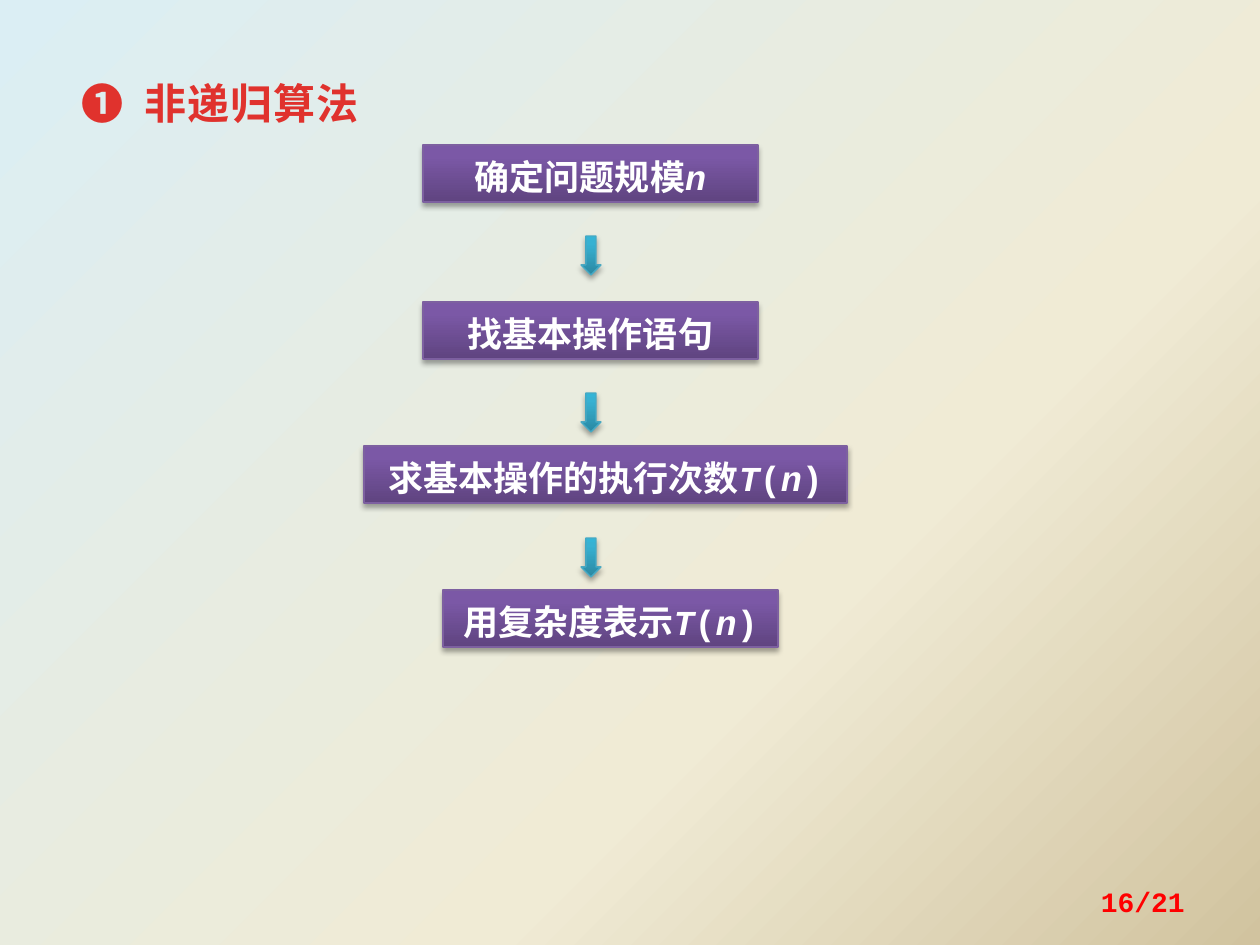
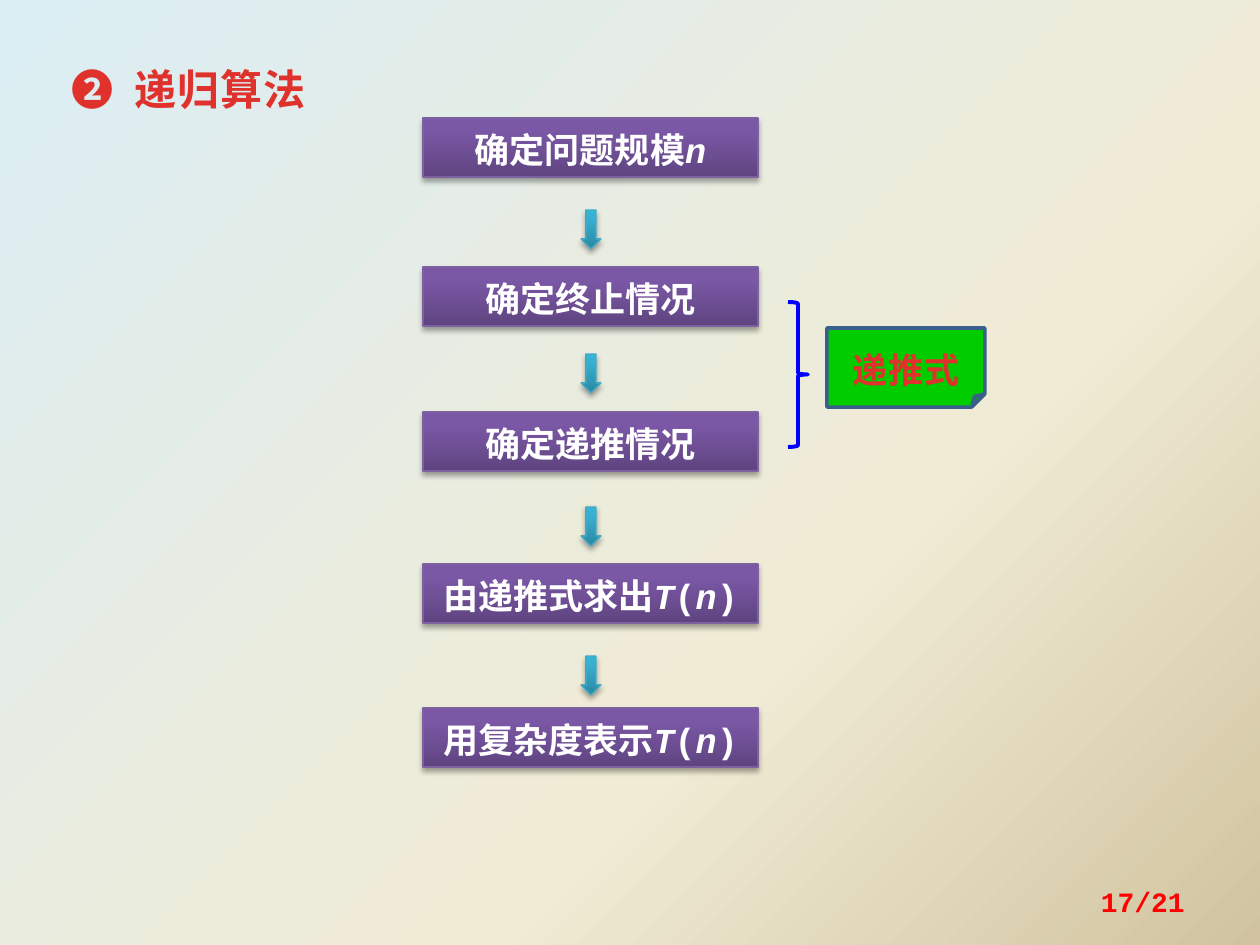
"""Build two flow-chart slides on analysing non-recursive and recursive algorithms."""
import itertools

import pptx
import pptx.dml.color
import pptx.enum.shapes
import pptx.enum.text
import pptx.oxml
import pptx.oxml.ns
import pptx.util
from lxml import etree

PX = 914400 / 126
SLIDE_SIZE = (1260, 945)
TITLE_ONLY = 5
TOTAL_PAGES = 21
STEP_LEFT, STEP_WIDTH = 423, 335
ARROW_LEFT, ARROW_WIDTH, ARROW_HEIGHT = 581, 20, 39

COLORS = {
    "step line": "7D60A0",
    "arrow line": "46AAC5",
    "brace": "0000FF",
    "note": "00CC00",
    "note line": "3A5F8C",
    "page": "FF0000",
    "step text": "FFFFFF",
    "shadow": "000000",
}
GRADIENTS = {
    "background": (315, {0: "DBEEF4", 65: "F0EBD5", 100: "D1C39F"}),
    "step": (90, {0: "5F4480", 80: "7B58A6", 100: "7C57A8"}),
    "arrow": (90, {0: "2A88A2", 80: "37B1D2", 100: "34B4D6"}),
    "red text": (270, {25: "E0322D", 100: "A2201C"}),
}
FONT = {"name": "Courier New", "bold": True}
FONTS = {
    "title": FONT | {"size": pptx.util.Pt(24)},
    "step": FONT | {"size": pptx.util.Pt(20)},
    "page": FONT | {"size": pptx.util.Pt(16)},
}
ALIGN = pptx.enum.text.PP_ALIGN
ANCHOR = pptx.enum.text.MSO_ANCHOR
SHAPE = pptx.enum.shapes.MSO_SHAPE
FRAME = {"word_wrap": True, "auto_size": pptx.enum.text.MSO_AUTO_SIZE.NONE}


def px(*lengths):
    """Turn px lengths into EMU."""
    return [round(length * PX) for length in lengths]


def apply(target, values):
    """Set every attribute in values on target."""
    for name, value in values.items():
        setattr(target, name, value)


def rgb(name):
    """Look up a named colour."""
    return pptx.dml.color.RGBColor.from_string(COLORS[name])


def fill_gradient(fill, owner, name):
    """Give a fill the named gradient, whose XML lies inside owner."""
    angle, stops = GRADIENTS[name]
    fill.gradient()
    fill.gradient_angle = angle
    stop_list = next(owner.iter(pptx.oxml.ns.qn("a:gsLst")))
    for stop in list(stop_list):
        stop_list.remove(stop)
    for position, color in stops.items():
        stop = etree.SubElement(stop_list, pptx.oxml.ns.qn("a:gs"), pos=str(position * 1000))
        etree.SubElement(stop, pptx.oxml.ns.qn("a:srgbClr"), val=color)


def add_shadow(shape):
    """Cast a soft shadow straight down."""
    effects = shape._element.spPr.find(pptx.oxml.ns.qn("a:effectLst"))
    effects.append(pptx.oxml.parse_xml(
        f'<a:outerShdw {pptx.oxml.ns.nsdecls("a")} blurRad="39370" dist="22860" dir="5400000" '
        f'rotWithShape="0"><a:srgbClr val="{COLORS["shadow"]}"><a:alpha val="35000"/>'
        '</a:srgbClr></a:outerShdw>'))


def add_outlined(slide, kind, box, line_color, line_width):
    """Add a preset shape with a plain outline and no inherited shadow."""
    shape = slide.shapes.add_shape(kind, *px(*box))
    shape.shadow.inherit = False
    shape.line.color.rgb = rgb(line_color)
    shape.line.width = pptx.util.Pt(line_width)
    return shape


def add_glossy(slide, kind, box, style):
    """Add a shaded shape with a shadow."""
    shape = add_outlined(slide, kind, box, f"{style} line", 0.75)
    fill_gradient(shape.fill, shape._element, style)
    add_shadow(shape)
    return shape


def write_red(paragraph, text, font):
    """Write spaced-out red gradient text."""
    run = paragraph.add_run()
    run.text = text
    apply(run.font, font)
    fill_gradient(run.font.fill, run._r, "red text")
    run._r.get_or_add_rPr().set("spc", "50")


def set_title(slide, text, box):
    """Place the title with its number hanging to the left."""
    title = slide.shapes.title
    apply(title, dict(zip(("left", "top", "width", "height"), px(*box))))
    apply(title.text_frame, FRAME | {"vertical_anchor": ANCHOR.TOP})
    heading = title.text_frame.paragraphs[0]
    apply(heading, {"alignment": ALIGN.LEFT, "line_spacing": 1.1})
    properties = heading._p.get_or_add_pPr()
    properties.set("marL", "457200")
    properties.set("indent", "-457200")
    write_red(heading, text, FONTS["title"])


def add_step(slide, text, box):
    """Add one step, with the symbols T and n in italics."""
    step = add_glossy(slide, SHAPE.RECTANGLE, box, "step")
    apply(step.text_frame, FRAME | {"vertical_anchor": ANCHOR.TOP})
    label = step.text_frame.paragraphs[0]
    apply(label, {"alignment": ALIGN.CENTER, "line_spacing": 1.1})
    for is_symbol, letters in itertools.groupby(text, lambda letter: letter in "Tn"):
        run = label.add_run()
        run.text = "".join(letters)
        apply(run.font, FONTS["step"] | {"italic": is_symbol})
        run.font.color.rgb = rgb("step text")


def add_flow(slide, steps, step_height, arrow_tops):
    """Add the column of steps and the arrows between them."""
    for text, top, left, width in steps:
        add_step(slide, text, (left, top, width, step_height))
    for top in arrow_tops:
        add_glossy(slide, SHAPE.DOWN_ARROW, (ARROW_LEFT, top, ARROW_WIDTH, ARROW_HEIGHT), "arrow")


def add_recurrence_note(slide):
    """Bracket the two recursive cases and label them."""
    brace = add_outlined(slide, SHAPE.RIGHT_BRACE, (788, 302, 20, 145), "brace", 2.25)
    brace.fill.background()
    note = add_outlined(slide, SHAPE.FOLDED_CORNER, (827, 328, 158, 79), "note line", 2)
    note.fill.solid()
    note.fill.fore_color.rgb = rgb("note")
    apply(note.text_frame, FRAME | {"vertical_anchor": ANCHOR.MIDDLE})
    label = note.text_frame.paragraphs[0]
    apply(label, {"alignment": ALIGN.CENTER, "line_spacing": 1.4})
    write_red(label, "递推式", FONTS["step"])


def add_page_number(slide, page):
    """Add the page number at the bottom right."""
    footer = slide.shapes.add_textbox(*px(903, 876, 294, 50))
    apply(footer.text_frame, FRAME | {"vertical_anchor": ANCHOR.MIDDLE})
    number = footer.text_frame.paragraphs[0]
    number.alignment = ALIGN.RIGHT
    run = number.add_run()
    run.text = f"{page}/{TOTAL_PAGES}"
    apply(run.font, FONTS["page"])
    run.font.color.rgb = rgb("page")


def add_slide(deck, title, title_box, page):
    """Add a slide with its title and page number."""
    slide = deck.slides.add_slide(deck.slide_layouts[TITLE_ONLY])
    set_title(slide, title, title_box)
    add_page_number(slide, page)
    return slide


def main():
    """Build and save the deck."""
    deck = pptx.Presentation()
    deck.slide_width, deck.slide_height = px(*SLIDE_SIZE)
    master = deck.slide_master
    fill_gradient(master.background.fill, master._element, "background")

    iterative = add_slide(deck, "❶\t非递归算法", (69, 66, 364, 66), 16)
    add_flow(iterative, [
        ("确定问题规模n", 145, STEP_LEFT, STEP_WIDTH),
        ("找基本操作语句", 302, STEP_LEFT, STEP_WIDTH),
        ("求基本操作的执行次数T(n)", 446, 364, 483),
        ("用复杂度表示T(n)", 590, 443, STEP_WIDTH),
    ], 57, [236, 393, 538])

    recursive = add_slide(deck, "❷\t递归算法", (59, 52, 315, 69), 17)
    recursive_steps = {
        "确定问题规模n": 118,
        "确定终止情况": 267,
        "确定递推情况": 412,
        "由递推式求出T(n)": 564,
        "用复杂度表示T(n)": 708,
    }
    add_flow(recursive, [(text, top, STEP_LEFT, STEP_WIDTH)
                         for text, top in recursive_steps.items()],
             59, [210, 354, 507, 656])
    add_recurrence_note(recursive)

    deck.save("out.pptx")


if __name__ == "__main__":
    main()
